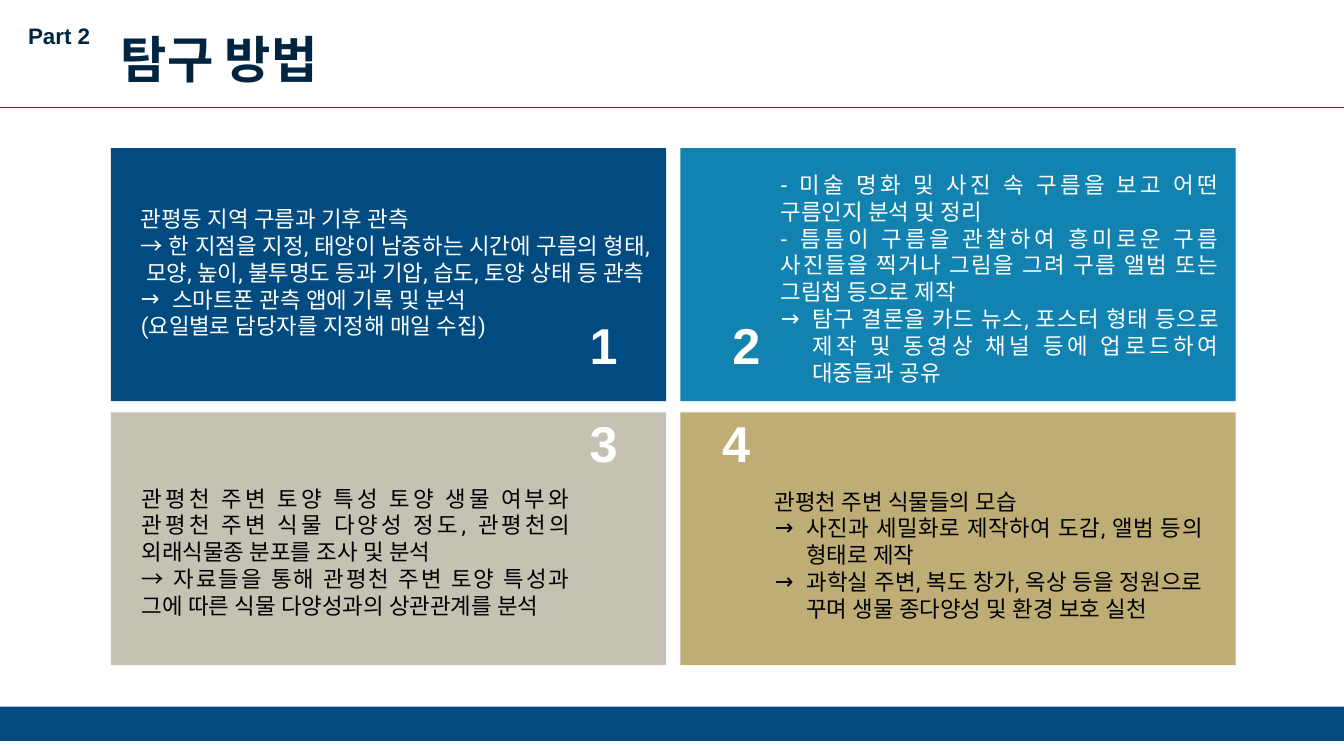
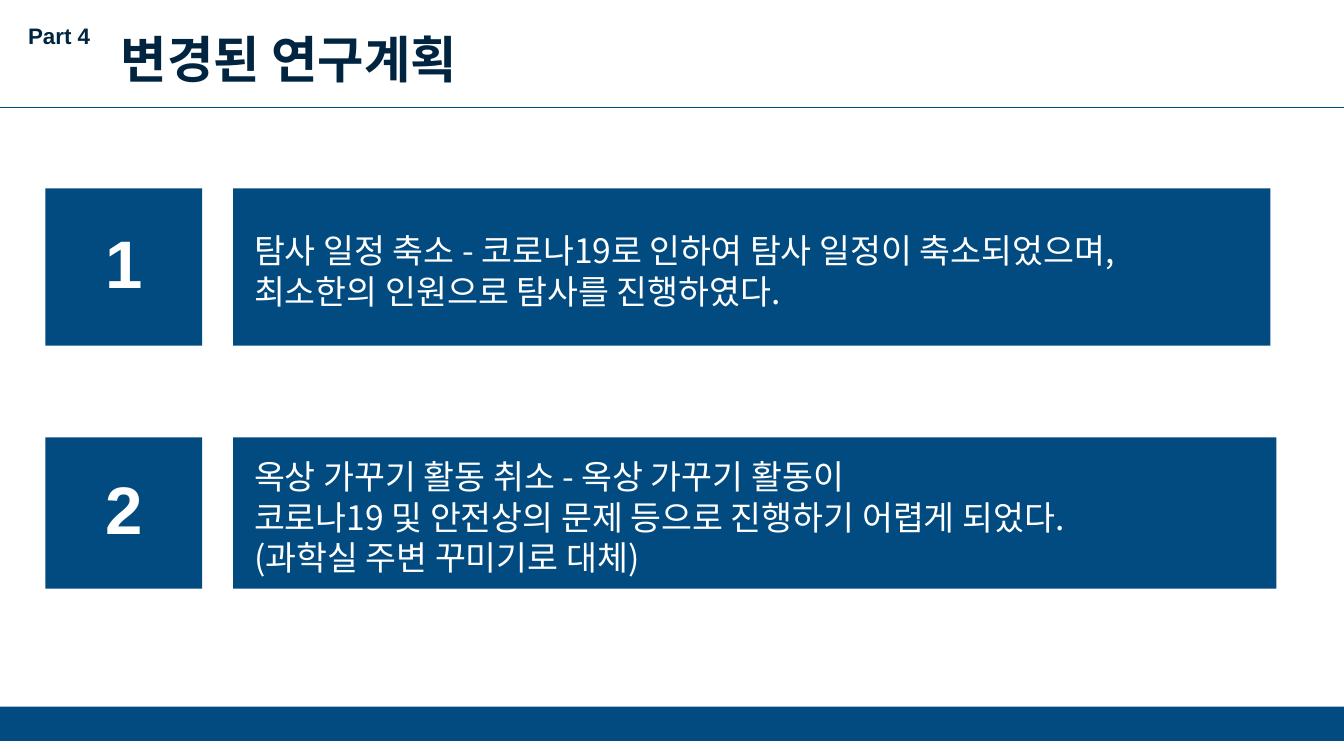
from dataclasses import dataclass

from lxml import etree
from pptx import Presentation
from pptx import util as u
from pptx.dml.color import RGBColor
from pptx.enum import shapes, text
from pptx.oxml.ns import qn


@dataclass(frozen=True)
class Theme:
    # Colours
    navy: str = "024B80"
    ink: str = "012540"
    blue: str = "1282B0"
    stone: str = "C5C2B3"
    sand: str = "BEAD75"
    white: str = "FFFFFF"
    black: str = "000000"
    # Fonts
    label_font: str = "Arial"
    korean_font: str = "Noto Sans CJK KR"
    body_font: str = "Roboto"
    # Type sizes
    body: int = 16
    plan: int = 24
    title: int = 36
    block_number: int = 48


@dataclass(frozen=True)
class Style:
    size: int
    font: str
    color: str
    bold: bool = False
    leading: float = 0  # line pitch in points, 0 for natural spacing


THEME = Theme()
WIDTH, HEIGHT = 960, 540
BULLET = "→"
INDENT = 22.5
ALIGN = text.PP_ALIGN
ANCHOR = text.MSO_ANCHOR

PART = Style(THEME.body, THEME.label_font, THEME.ink, True)
TITLE = Style(THEME.title, THEME.korean_font, THEME.ink, True, 46.8)
NUMBER = Style(THEME.title, THEME.label_font, THEME.white, True)
BLOCK_NUMBER = Style(THEME.block_number, THEME.label_font, THEME.white, True)
PLAN = Style(THEME.plan, THEME.korean_font, THEME.white, False, 28.9)
LIGHT_BODY = Style(THEME.body, THEME.body_font, THEME.white, False, 19.15)
DARK_BODY = Style(THEME.body, THEME.body_font, THEME.black, False, 19.15)

# Cards: fill, number place, number alignment, text place, style, paragraphs.
# A pair holds a bulleted paragraph: bullet sign and wording.
CARDS = [
    (THEME.navy, (414, 221), ALIGN.LEFT, (93.6, 143.3, 374.4), LIGHT_BODY, [
        "관평동 지역 구름과 기후 관측",
        "→ 한 지점을 지정, 태양이 남중하는 시간에 구름의 형태, 모양, 높이, "
        "불투명도 등과 기압, 습도, 토양 상태 등 관측",
        (BULLET, "스마트폰 관측 앱에 기록 및 분석"),
        "(요일별로 담당자를 지정해 매일 수집)",
    ]),
    (THEME.blue, (491.8, 221), ALIGN.RIGHT, (550.8, 118.8, 326.9), LIGHT_BODY, [
        "- 미술 명화 및 사진 속 구름을 보고 어떤 구름인지 분석 및 정리",
        "- 틈틈이 구름을 관찰하여 흥미로운 구름 사진들을 찍거나 그림을 그려 "
        "구름 앨범 또는 그림첩 등으로 제작",
        (BULLET, "탐구 결론을 카드 뉴스, 포스터 형태 등으로 제작 및 동영상 채널 "
                 "등에 업로드하여 대중들과 공유"),
    ]),
    (THEME.stone, (414, 290.9), ALIGN.LEFT, (94.3, 342.7, 319.7), DARK_BODY, [
        "관평천 주변 토양 특성 토양 생물 여부와 관평천 주변 식물 다양성 정도, "
        "관평천의 외래식물종 분포를 조사 및 분석",
        "→ 자료들을 통해 관평천 주변 토양 특성과 그에 따른 식물 다양성과의 "
        "상관관계를 분석",
    ]),
    (THEME.sand, (484.6, 290.9), ALIGN.RIGHT, (546.5, 344.9, 319.7), DARK_BODY, [
        "관평천 주변 식물들의 모습",
        (BULLET, "사진과 세밀화로 제작하여 도감, 앨범 등의 형태로 제작"),
        (BULLET, "과학실 주변, 복도 창가, 옥상 등을 정원으로 꾸며 생물 종다양성 "
                 "및 환경 보호 실천"),
    ]),
]

# Plan changes: top, height, bar width, paragraphs
CHANGES = [
    (134.6, 112.3, 740.9, [
        "탐사 일정 축소 - 코로나19로 인하여 탐사 일정이 축소되었으며,",
        "최소한의 인원으로 탐사를 진행하였다.",
    ]),
    (312.5, 108, 745.2, [
        "옥상 가꾸기 활동 취소 - 옥상 가꾸기 활동이",
        "코로나19 및 안전상의 문제 등으로 진행하기 어렵게 되었다.",
        "(과학실 주변 꾸미기로 대체)",
    ]),
]


def points(*lengths):
    return [u.Pt(length) for length in lengths]


def add_run(para, wording, style):
    span = para.add_run()
    span.text = wording
    font = span.font
    font.name, font.size, font.bold = style.font, u.Pt(style.size), style.bold
    font.color.rgb = RGBColor.from_string(style.color)
    # East Asian letters use the same typeface
    latin = font._element.find(qn("a:latin"))
    east_asian = etree.Element(qn("a:ea"), typeface=style.font)
    latin.addnext(east_asian)


def set_bullet(para, sign, font_name):
    properties = para._p.get_or_add_pPr()
    properties.set("marL", str(u.Pt(INDENT)))
    properties.set("indent", str(-u.Pt(INDENT)))
    etree.SubElement(properties, qn("a:buFont"), typeface=font_name)
    etree.SubElement(properties, qn("a:buChar"), char=sign)


def write(box, paragraphs, style, align=ALIGN.LEFT, anchor=ANCHOR.TOP,
          margins=(7.2, 3.6, 7.2, 3.6)):
    frame = box.text_frame
    frame.word_wrap = True
    frame.vertical_anchor = anchor
    (frame.margin_left, frame.margin_top,
     frame.margin_right, frame.margin_bottom) = points(*margins)
    for index, content in enumerate(paragraphs):
        para = frame.add_paragraph() if index else frame.paragraphs[0]
        para.alignment = align
        if style.leading:
            para.line_spacing = u.Pt(style.leading)
        if isinstance(content, tuple):
            sign, content = content
            set_bullet(para, sign, style.font)
        add_run(para, content, style)


def add_text(page, place, paragraphs, style, align=ALIGN.LEFT):
    box = page.shapes.add_textbox(*points(*place))
    write(box, paragraphs, style, align)


def add_block(page, place, color):
    block = page.shapes.add_shape(shapes.MSO_SHAPE.RECTANGLE, *points(*place))
    block.shadow.inherit = False
    block.fill.solid()
    block.fill.fore_color.rgb = RGBColor.from_string(color)
    block.line.fill.background()
    return block


def add_rule(page, top):
    rule = page.shapes.add_connector(
        shapes.MSO_CONNECTOR.STRAIGHT, *points(0, top, WIDTH, top))
    rule.line.color.rgb = RGBColor.from_string(THEME.navy)
    rule.line.width = u.Pt(0.5)
    etree.SubElement(rule._element.spPr, qn("a:effectLst"))


def add_page(deck, part, title):
    page = deck.slides.add_slide(deck.slide_layouts[6])
    # Footer band, header rule, part label and title
    add_block(page, (0, 504.7, WIDTH, 24.5), THEME.navy)
    add_rule(page, 77)
    add_text(page, (13, 12.2, 66.2, 26.6), [part], PART)
    add_text(page, (79.2, 12.7, 296.6, 51.1), [title], TITLE)
    return page


def add_cards(page):
    left, top, width, height = 79.2, 105.8, 396.7, 180.7
    column_gap, row_gap = 10.1, 8
    for index, (color, spot, align, place, style, paragraphs) in enumerate(CARDS):
        row, column = divmod(index, 2)
        add_block(page, (left + column * (width + column_gap),
                         top + row * (height + row_gap), width, height), color)
        add_text(page, (*spot, 58.3, 51.8), [str(index + 1)], NUMBER, align)
        text_height = len(paragraphs) * style.leading + 7.2
        add_text(page, (*place, text_height), paragraphs, style, ALIGN.JUSTIFY)


def add_changes(page):
    for number, (top, height, width, paragraphs) in enumerate(CHANGES, 1):
        block = add_block(page, (32.4, top, 112, height), THEME.navy)
        write(block, [str(number)], BLOCK_NUMBER, ALIGN.CENTER,
              ANCHOR.MIDDLE, (0, 0, 0, 8))
        bar = add_block(page, (166.5, top, width, height), THEME.navy)
        write(bar, paragraphs, PLAN, ALIGN.LEFT, ANCHOR.MIDDLE, (15, 5, 15, 0))


def main():
    deck = Presentation()
    deck.slide_width, deck.slide_height = points(WIDTH, HEIGHT)
    add_cards(add_page(deck, "Part 2", "탐구 방법"))
    add_changes(add_page(deck, "Part 4", "변경된 연구계획"))
    deck.save("out.pptx")


if __name__ == "__main__":
    main()
